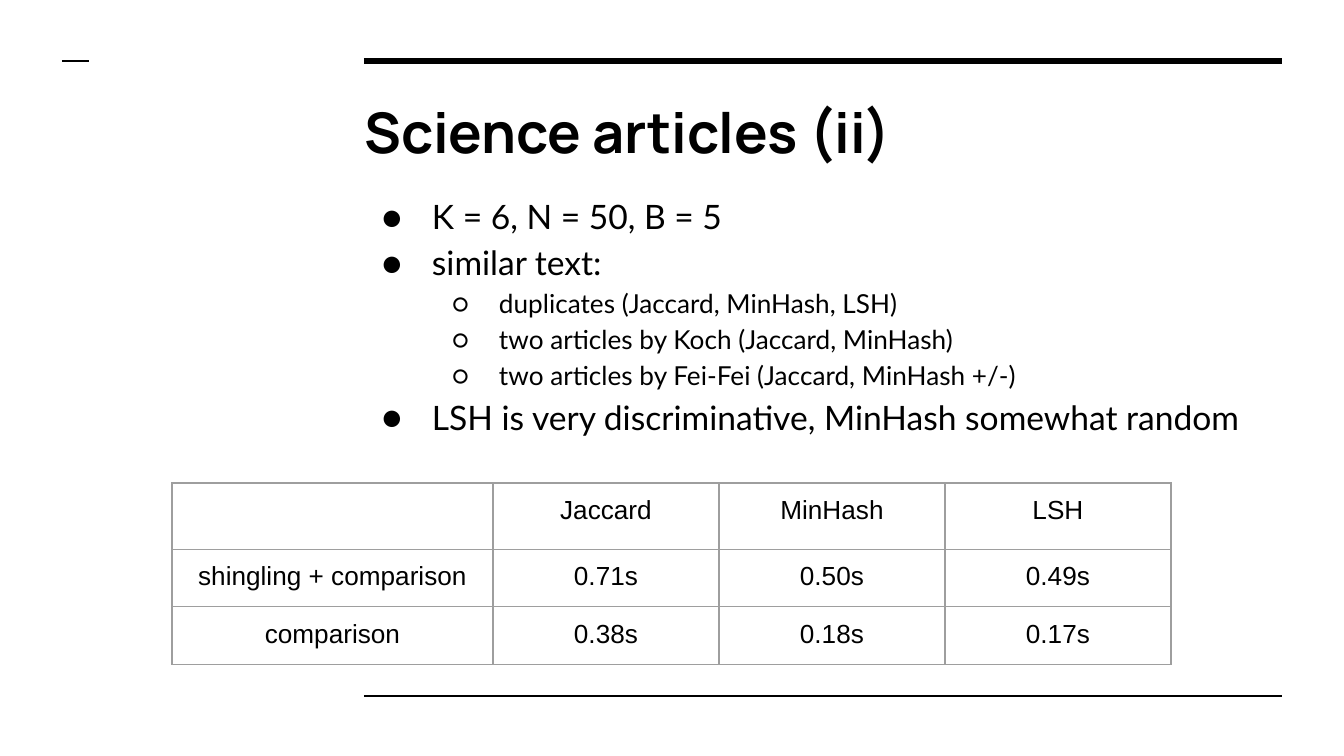
from lxml.etree import SubElement
from pptx import Presentation
from pptx.dml.color import RGBColor
from pptx.enum.shapes import MSO_CONNECTOR
from pptx.enum.text import MSO_ANCHOR, PP_ALIGN
from pptx.oxml.ns import qn
from pptx.util import Emu, Pt

BLACK = RGBColor(0x00, 0x00, 0x00)
GRAY = RGBColor(0x9E, 0x9E, 0x9E)

TITLE = "Science articles (ii)"
BULLETS = [
    (0, "K = 6, N = 50, B = 5"),
    (0, "similar text:"),
    (1, "duplicates (Jaccard, MinHash, LSH)"),
    (1, "two articles by Koch (Jaccard, MinHash)"),
    (1, "two articles by Fei-Fei (Jaccard, MinHash +/-)"),
    (0, "LSH is very discriminative, MinHash somewhat random"),
]
TIMINGS = [
    ("", "Jaccard", "MinHash", "LSH"),
    ("shingling + comparison", "0.71s", "0.50s", "0.49s"),
    ("comparison", "0.38s", "0.18s", "0.17s"),
]

# Left, right, y in px; weight in points
RULES = [(364, 1282, 61, 3), (364, 1282, 696, 1.5), (62, 89, 61, 1.5)]
TITLE_BOX = (352, 85, 929, 92)
BODY_BOX = (352, 177, 929, 441)
TABLE_AT = (172, 483)
COLUMNS = [321, 226, 226, 226]
ROWS = [64, 56, 58]
# Bullet sign, size in points, margin and hanging indent in px
LEVELS = [("●", 18, 67, 50), ("○", 14, 134, 47)]
INSET = 13


def px(count):
    return Emu(round(count * 914400 / 134.4))


def add_run(para, text, font, size, bold=False):
    run = para.add_run()
    run.text = text
    run.font.name = font
    run.font.size = Pt(size)
    run.font.bold = bold
    run.font.color.rgb = BLACK


def set_insets(holder):
    """Give a text frame or a table cell the same margin on all sides."""
    holder.margin_left = holder.margin_right = px(INSET)
    holder.margin_top = holder.margin_bottom = px(INSET)


def add_text_frame(slide, box, anchor):
    frame = slide.shapes.add_textbox(*map(px, box)).text_frame
    frame.word_wrap = True
    frame.vertical_anchor = anchor
    set_insets(frame)
    return frame


def add_rule(slide, left, right, y, weight):
    rule = slide.shapes.add_connector(
        MSO_CONNECTOR.STRAIGHT, px(left), px(y), px(right), px(y))
    rule.line.color.rgb = BLACK
    rule.line.width = Pt(weight)
    SubElement(rule._element.spPr, qn("a:effectLst"))


def add_bullet(para, level, text):
    sign, size, margin, hang = LEVELS[level]
    para.level = level
    para.line_spacing = 1.15
    props = para._p.get_or_add_pPr()
    props.set("marL", str(px(margin)))
    props.set("indent", str(-px(hang)))
    color = SubElement(props, qn("a:buClr"))
    SubElement(color, qn("a:srgbClr"), val=str(BLACK))
    SubElement(props, qn("a:buFont"), typeface="Lato")
    SubElement(props, qn("a:buChar"), char=sign)
    add_run(para, text, "Lato", size)


def add_borders(cell):
    props = cell._tc.get_or_add_tcPr()
    for position, side in enumerate(("lnL", "lnR", "lnT", "lnB")):
        line = props.makeelement(qn(f"a:{side}"), {"w": str(Pt(0.75))})
        fill = SubElement(line, qn("a:solidFill"))
        SubElement(fill, qn("a:srgbClr"), val=str(GRAY))
        props.insert(position, line)


def add_timings(slide):
    table = slide.shapes.add_table(
        len(ROWS), len(COLUMNS), *map(px, TABLE_AT),
        px(sum(COLUMNS)), px(sum(ROWS))).table
    table.first_row = table.horz_banding = False
    for column, width in zip(table.columns, COLUMNS):
        column.width = px(width)
    for row, height, texts in zip(table.rows, ROWS, TIMINGS):
        row.height = px(height)
        for cell, text in zip(row.cells, texts):
            cell.fill.background()
            set_insets(cell)
            add_borders(cell)
            if text:
                para = cell.text_frame.paragraphs[0]
                para.alignment = PP_ALIGN.CENTER
                add_run(para, text, "Arial", 14)


def main():
    deck = Presentation()
    deck.slide_width, deck.slide_height = px(1344), px(756)
    slide = deck.slides.add_slide(deck.slide_layouts[6])

    for rule in RULES:
        add_rule(slide, *rule)

    title = add_text_frame(slide, TITLE_BOX, MSO_ANCHOR.MIDDLE)
    add_run(title.paragraphs[0], TITLE, "Manrope", 30, bold=True)

    body = add_text_frame(slide, BODY_BOX, MSO_ANCHOR.TOP)
    for index, (level, text) in enumerate(BULLETS):
        para = body.add_paragraph() if index else body.paragraphs[0]
        add_bullet(para, level, text)

    add_timings(slide)
    deck.save("out.pptx")


if __name__ == "__main__":
    main()
